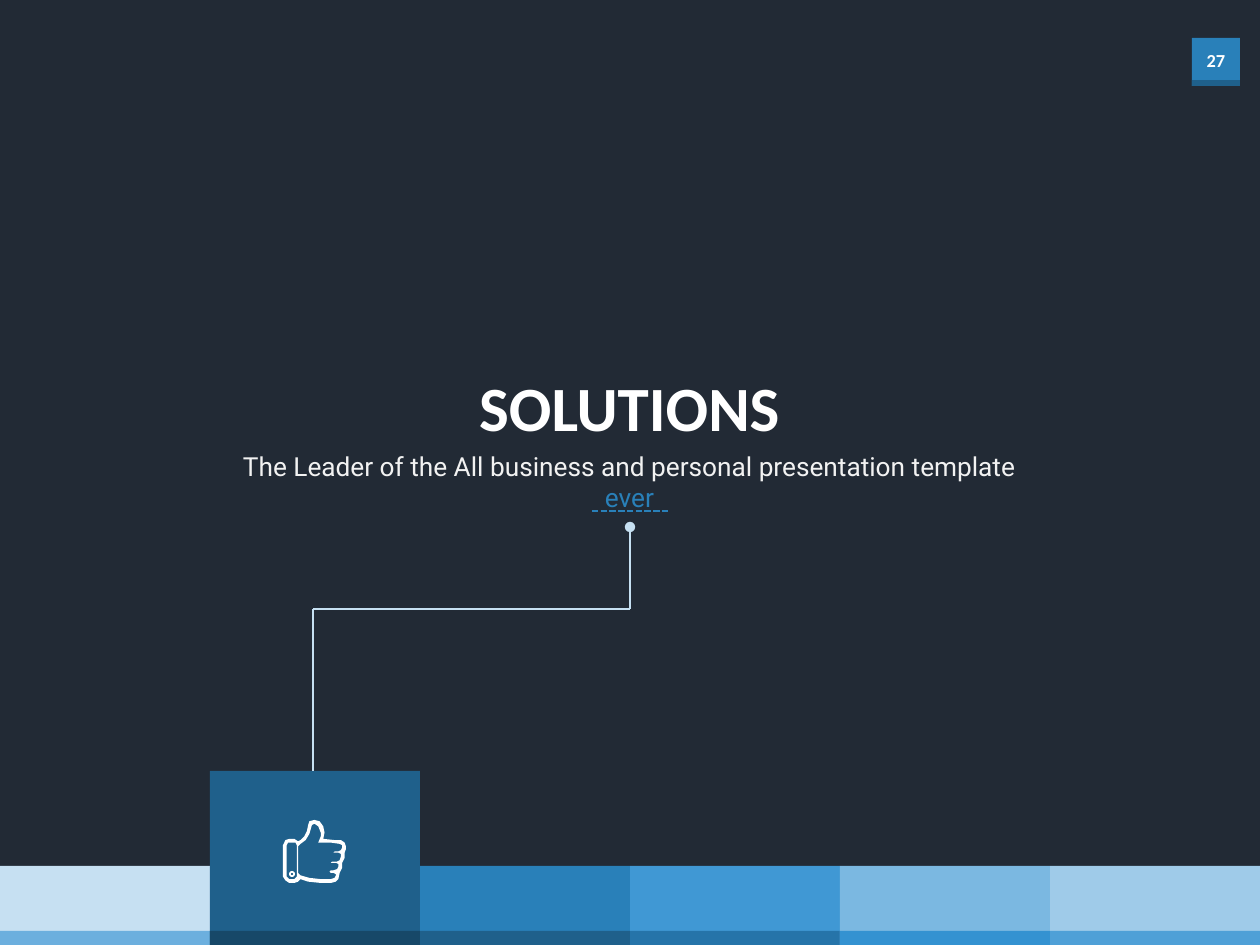
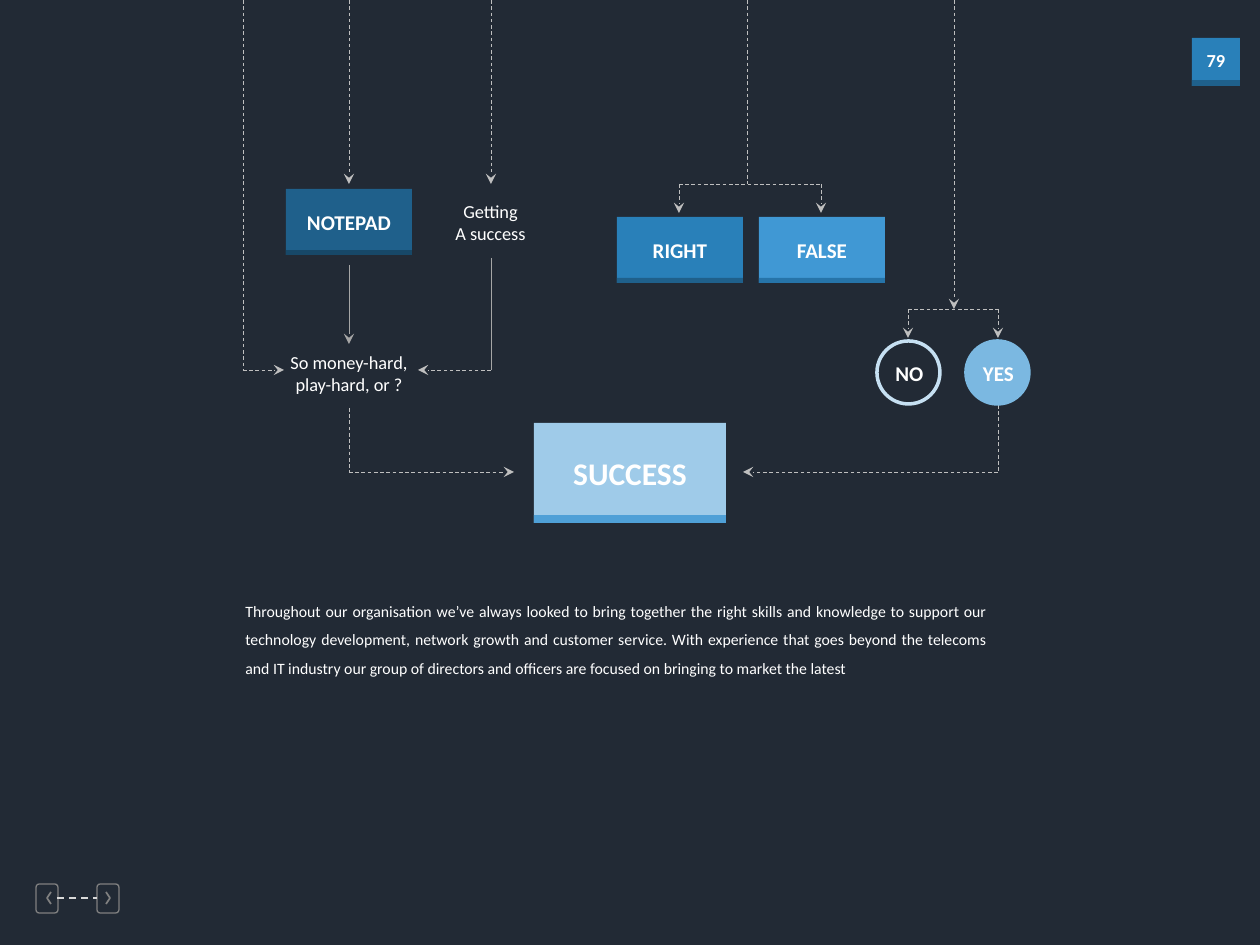
from dataclasses import dataclass
from itertools import pairwise

from pptx import Presentation
from pptx.dml.color import RGBColor
from pptx.enum.dml import MSO_LINE_DASH_STYLE as Dash
from pptx.enum.shapes import MSO_CONNECTOR, MSO_SHAPE as Preset
from pptx.enum.text import MSO_ANCHOR as Anchor, PP_ALIGN as Align
from pptx.oxml.ns import qn
from pptx.util import Pt
from lxml.etree import SubElement

PX = 914400 / 126  # EMU in one px
WIDTH, HEIGHT = 1260, 945


@dataclass(frozen=True)
class Theme:
    background: str = "222A35"
    white: str = "FFFFFF"
    soft_white: str = "F2F2F2"
    night: str = "174868"
    deep: str = "1F608B"
    blue: str = "2980B9"
    blue_lip: str = "2674A9"
    bright: str = "4098D4"
    bright_lip: str = "3492D1"
    sky: str = "7BB8E1"
    sky_lip: str = "4FA0D7"
    pale: str = "9FCBE9"
    ice: str = "C6E0F2"
    ice_lip: str = "6CAFDE"
    arrow: str = "BFBFBF"
    solid_arrow: str = "A6A6A6"
    nav: str = "808080"
    nav_link: str = "D9D9D9"
    font: str = "Calibri"
    tagline_font: str = "Roboto"
    title: float = 36
    result: float = 18
    tagline: float = 15
    label: float = 12
    note: float = 10.5
    body: float = 9


THEME = Theme()


def emu(*lengths):
    return [round(length * PX) for length in lengths]


def rgb(value):
    return RGBColor.from_string(value)


class Deck:
    def __init__(self, theme):
        self.theme = theme
        self.prs = Presentation()
        self.prs.slide_width, self.prs.slide_height = emu(WIDTH, HEIGHT)

    def new_slide(self, number):
        self.slide = self.prs.slides.add_slide(self.prs.slide_layouts[6])
        self.shapes = self.slide.shapes
        fill = self.slide.background.fill
        fill.solid()
        fill.fore_color.rgb = rgb(self.theme.background)
        # Page number badge
        self.tile((1192, 38, 48, 48), 6, self.theme.blue, self.theme.deep,
                  str(number), self.theme.note, lift=2)

    def paint(self, shape, fill=None, line=None, weight=1.0):
        shape.shadow.inherit = False
        if fill:
            shape.fill.solid()
            shape.fill.fore_color.rgb = rgb(fill)
        else:
            shape.fill.background()
        if line:
            shape.line.color.rgb = rgb(line)
            shape.line.width = Pt(weight)
        else:
            shape.line.fill.background()
        return shape

    def shape(self, preset, box, fill=None, line=None, weight=1.0):
        return self.paint(self.shapes.add_shape(preset, *emu(*box)),
                          fill, line, weight)

    def outline(self, contours, left, top, unit=1.0, closed=True, **paint):
        """Draw contours given in units of so many px from (left, top)."""
        first, *others = contours
        builder = self.shapes.build_freeform(*first[0], scale=unit * PX)
        builder.add_line_segments(first[1:], close=closed)
        for contour in others:
            builder.move_to(*contour[0])
            builder.add_line_segments(contour[1:], close=closed)
        self.paint(builder.convert_to_shape(*emu(left, top)), **paint)

    def text(self, box, paragraphs, size, bold=False, font=None, wrap=False,
             align=Align.CENTER, anchor=Anchor.TOP, spacing=None):
        """Each paragraph is a list of (words, colour) runs."""
        frame = self.shapes.add_textbox(*emu(*box)).text_frame
        frame.word_wrap = wrap
        frame.vertical_anchor = anchor
        for index, runs in enumerate(paragraphs):
            para = frame.add_paragraph() if index else frame.paragraphs[0]
            para.alignment = align
            if spacing:
                para.line_spacing = spacing
            for words, colour in runs:
                run = para.add_run()
                run.text = words
                run.font.name = font or self.theme.font
                run.font.size = Pt(size)
                run.font.bold = bold
                run.font.color.rgb = rgb(colour)

    def label(self, box, words, size):
        self.text(box, [[(words, self.theme.white)]], size, bold=True,
                  anchor=Anchor.MIDDLE)

    def tile(self, box, lip, face, lip_colour, words, size, lift=0):
        left, top, width, height = box
        self.shape(Preset.RECTANGLE, box, face)
        self.shape(Preset.RECTANGLE,
                   (left, top + height - lip, width, lip), lip_colour)
        self.label((left, top - lift, width, height), words, size)

    def line(self, start, end, colour, weight, dash=None, head=None, tail=None):
        link = self.shapes.add_connector(MSO_CONNECTOR.STRAIGHT,
                                         *emu(*start, *end))
        link.line.color.rgb = rgb(colour)
        link.line.width = Pt(weight)
        if dash:
            link.line.dash_style = dash
        ln = link.line._get_or_add_ln()
        for tag, kind in (("a:headEnd", head), ("a:tailEnd", tail)):
            if kind:
                SubElement(ln, qn(tag), type=kind)
        SubElement(link._element.spPr, qn("a:effectLst"))

    def route(self, *points, arrow=True, dashed=True):
        legs = list(pairwise(points))
        for start, end in legs:
            last = (start, end) == legs[-1]
            self.line(start, end,
                      self.theme.arrow if dashed else self.theme.solid_arrow,
                      0.5, Dash.DASH if dashed else None,
                      tail="stealth" if arrow and last else None)

    def fork(self, left, right, top, bottom):
        self.route((left, top), (right, top), arrow=False)
        for x in (left, right):
            self.route((x, top), (x, bottom))

    def navigation(self):
        t = self.theme
        carets = ((36, [(6, 0), (2, 6), (6, 12)]),
                  (97, [(0, 0), (4, 6), (0, 12)]))
        for left, caret in carets:
            key = self.shape(Preset.ROUNDED_RECTANGLE, (left, 884, 22, 29),
                             line=t.nav, weight=0.75)
            key.adjustments[0] = 0.15
            self.outline([caret], left + 9, 892, closed=False,
                         line=t.nav, weight=1)
        self.line((57, 898), (97, 898), t.nav_link, 1, Dash.DASH)


# Thumb icon, on a grid of 50 by 50
HAND = [(46, 16), (41, 15.5), (32, 15), (33, 10), (32, 5), (29, 1), (25, 0),
        (21, 1), (20, 4), (19, 9), (17, 13), (14, 16), (12, 17), (9, 15),
        (5, 15), (1.5, 16.5), (0, 20), (0, 45), (1.5, 48.5), (5, 50), (9, 50),
        (12, 49), (14, 47), (20, 49), (30, 50), (38, 50), (42, 49), (44, 47),
        (45, 42), (47, 38), (47, 34), (49, 30), (49, 26), (50, 23), (50, 21),
        (49, 18)]
CUFF = [(11, 45), (10.5, 46.5), (9, 47), (5, 47), (3.5, 46.5), (3, 45),
        (3, 20), (3.5, 18.5), (5, 18), (9, 18), (10.5, 18.5), (11, 20)]
PALM = [(47, 22), (46, 24), (44, 25), (41, 25), (40, 25.5), (41, 26), (44, 26),
        (46, 27), (46, 29), (45, 32), (43, 33), (39, 33), (38, 33.5), (39, 34),
        (42, 34), (44, 35), (44, 37), (43, 39), (40, 40), (38, 40), (37, 41),
        (38, 42), (40, 42), (42, 43), (42, 44), (41, 46), (38, 47), (30, 47),
        (21, 46), (14, 44), (12, 42), (12, 21), (14, 19), (18, 16), (21, 11),
        (23, 4), (25, 3), (28, 5), (30, 10), (30, 13), (28, 18), (38, 18),
        (45, 19), (47, 20)]


def solutions_slide(deck):
    t = deck.theme
    deck.new_slide(27)

    # Colour band with one raised column
    column, raised = 210, 1
    band = [(t.ice, t.ice_lip), (t.deep, t.night), (t.blue, t.deep),
            (t.bright, t.blue_lip), (t.sky, t.bright_lip), (t.pale, t.sky_lip)]
    for index, (face, lip) in enumerate(band):
        left = index * column
        top = 771 if index == raised else 866
        deck.shape(Preset.RECTANGLE, (left, top, column, HEIGHT - top), face)
        deck.shape(Preset.RECTANGLE, (left, 931, column, 14), lip)

    # Link from the heading to the raised column
    deck.line((313, 609), (630, 609), t.ice, 1.25)
    deck.line((313, 609), (313, 771), t.ice, 1.25)
    deck.line((630, 527), (630, 609), t.ice, 1.25, head="oval")

    # Heading
    deck.text((465, 362, 329, 89), [[("SOLUTIONS", t.white)]], t.title, bold=True)
    deck.text((219, 444, 821, 44),
              [[("The Leader of the All business and personal presentation "
                 "template ", t.soft_white), ("ever", t.blue)]],
              t.tagline, font=t.tagline_font, wrap=True)
    deck.line((592, 511), (668, 511), t.blue, 1.25, Dash.SQUARE_DOT)

    # Thumb icon
    deck.outline([HAND, CUFF, PALM], 283, 820, unit=1.26, fill=t.white)
    button = deck.shape(Preset.DONUT, (289, 871, 6, 6), t.white)
    button.adjustments[0] = 0.3


def flow_slide(deck):
    t = deck.theme
    deck.new_slide(79)
    deck.navigation()

    # Arrows from the top edge
    deck.route((747, 0), (747, 184), arrow=False)
    deck.route((954, 0), (954, 309))
    for x in (349, 491):
        deck.route((x, 0), (x, 184))
    deck.route((243, 0), (243, 370), (284, 370))

    # Forks and arrows between steps
    deck.fork(679, 821, 184, 213)
    deck.fork(908, 998, 309, 338)
    deck.route((349, 265), (349, 344), dashed=False)
    deck.route((491, 258), (491, 370), arrow=False, dashed=False)
    deck.route((491, 370), (418, 370))
    deck.route((349, 408), (349, 472), (514, 472))
    deck.route((998, 405), (998, 472), (743, 472))

    # Tiles
    for left, top, face, lip, words in (
            (286, 189, t.deep, t.night, "NOTEPAD"),
            (617, 217, t.blue, t.deep, "RIGHT"),
            (759, 217, t.bright, t.blue_lip, "FALSE")):
        deck.tile((left, top, 126, 66), 5, face, lip, words, t.label)
    deck.tile((534, 423, 192, 100), 8, t.pale, t.sky_lip, "SUCCESS", t.result)

    # Answers
    for left, fill, ring, words in ((877, None, t.ice, "NO"),
                                    (966, t.sky, t.sky, "YES")):
        circle = (left, 341, 63, 63)
        deck.shape(Preset.OVAL, circle, fill, ring, 2)
        deck.label((left + 1, 342, 63, 63), words, t.label)

    # Notes
    for box, lines in (((442, 194, 97, 57), ("Getting", "A success")),
                       ((276, 345, 146, 57), ("So money-hard,", "play-hard, or ?"))):
        deck.text(box, [[(words, t.white)] for words in lines], t.note)

    # Closing paragraph
    deck.text((233, 586, 765, 98),
              [[("Throughout our organisation we’ve always looked to bring "
                 "together the right skills and knowledge to support our "
                 "technology development, network growth and customer service. "
                 "With experience that goes beyond the telecoms and IT industry "
                 "our group of directors and officers are focused on bringing "
                 "to market the latest", t.white)]],
              t.body, wrap=True, align=Align.JUSTIFY, spacing=1.5)


def main():
    deck = Deck(THEME)
    solutions_slide(deck)
    flow_slide(deck)
    deck.prs.save("out.pptx")


if __name__ == "__main__":
    main()
